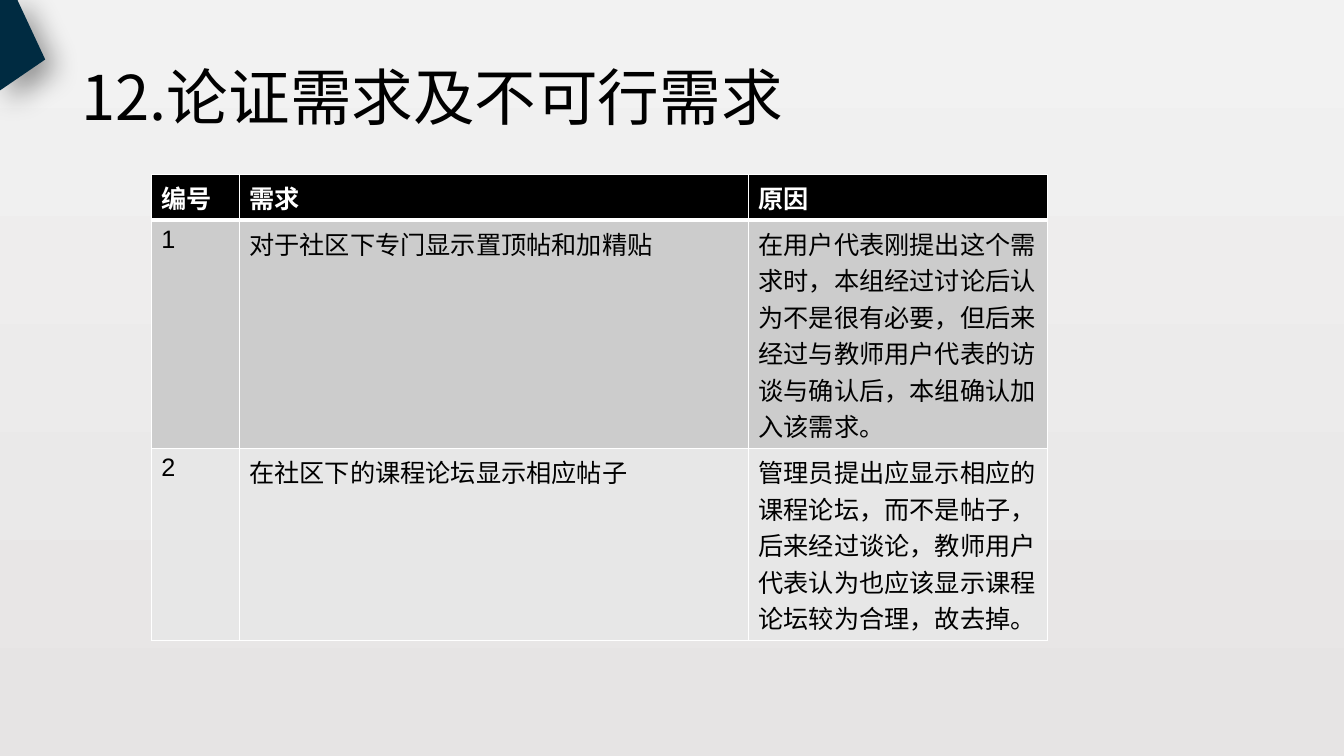
"""Builds the slide on justified and infeasible requirements."""
import pptx
import pptx.util
import pptx.dml.color
import pptx.enum.text
import pptx.oxml
import pptx.oxml.ns
import lxml.etree

Cm = pptx.util.Cm
Pt = pptx.util.Pt
RGBColor = pptx.dml.color.RGBColor

BLACK = RGBColor(0x00, 0x00, 0x00)
WHITE = RGBColor(0xFF, 0xFF, 0xFF)
NAVY = RGBColor(0x00, 0x2B, 0x41)
MID_GREY = RGBColor(0xCC, 0xCC, 0xCC)
PALE_GREY = RGBColor(0xE7, 0xE7, 0xE7)
BACKDROP = [RGBColor(0xF2, 0xF2, 0xF2), RGBColor(0xE6, 0xE4, 0xE4)]
CJK_FONT = "Noto Sans CJK SC"


def add_run(paragraph, text, latin, size, color, bold=False):
    run = paragraph.add_run()
    run.text = text
    run.font.size = Pt(size)
    run.font.bold = bold
    run.font.color.rgb = color
    run.font.name = latin
    east_asian = lxml.etree.SubElement(run.font._element, pptx.oxml.ns.qn("a:ea"))
    east_asian.set("typeface", CJK_FONT)


def set_borders(cell, widths):
    for place, (side, width) in enumerate(widths.items()):
        line = pptx.oxml.parse_xml(
            f'<a:{side} {pptx.oxml.ns.nsdecls("a")} w="{Pt(width)}">'
            f'<a:solidFill><a:srgbClr val="{WHITE}"/></a:solidFill></a:{side}>'
        )
        cell._tc.get_or_add_tcPr().insert(place, line)


deck = pptx.Presentation()
deck.slide_width = Cm(33.87)
deck.slide_height = Cm(19.05)
slide = deck.slides.add_slide(deck.slide_layouts[6])

backdrop = slide.background.fill
backdrop.gradient()
backdrop.gradient_angle = 270
for stop, color in zip(backdrop.gradient_stops, BACKDROP):
    stop.color.rgb = color

title = slide.shapes.add_textbox(Cm(1.8), Cm(0.7), Cm(29.2), Cm(3.68)).text_frame
title.word_wrap = True
title.vertical_anchor = pptx.enum.text.MSO_ANCHOR.MIDDLE
title.paragraphs[0].line_spacing = 0.9
add_run(title.paragraphs[0], "12.论证需求及不可行需求", CJK_FONT, 44, BLACK)

outline = slide.shapes.build_freeform(Cm(0.43), Cm(-0.02))
outline.add_line_segments(
    [(Cm(0), Cm(-0.02)), (Cm(0), Cm(2.28)), (Cm(1.14), Cm(1.5))], close=True
)
corner = outline.convert_to_shape()
corner.fill.solid()
corner.fill.fore_color.rgb = NAVY
corner.line.fill.background()
corner.shadow.inherit = False
effects = corner._element.spPr.find(pptx.oxml.ns.qn("a:effectLst"))
effects.append(pptx.oxml.parse_xml(
    f'<a:outerShdw {pptx.oxml.ns.nsdecls("a")} blurRad="{Pt(20)}" dist="{Pt(10)}" '
    f'dir="2700000" algn="tl" rotWithShape="0"><a:srgbClr val="{BLACK}">'
    '<a:alpha val="40000"/></a:srgbClr></a:outerShdw>'
))

requirements = [
    ("编号", "需求", "原因"),
    ("1", "对于社区下专门显示置顶帖和加精贴",
     "在用户代表刚提出这个需求时，本组经过讨论后认为不是很有必要，"
     "但后来经过与教师用户代表的访谈与确认后，本组确认加入该需求。"),
    ("2", "在社区下的课程论坛显示相应帖子",
     "管理员提出应显示相应的课程论坛，而不是帖子，后来经过谈论，"
     "教师用户代表认为也应该显示课程论坛较为合理，故去掉。"),
]
column_widths = [2.22, 12.83, 7.53]
row_heights = [1.15, 5.75, 4.85]
row_fills = [BLACK, MID_GREY, PALE_GREY]

table = slide.shapes.add_table(
    len(requirements), len(column_widths), Cm(3.81), Cm(4.4),
    Cm(sum(column_widths)), Cm(sum(row_heights)),
).table
for column, width in zip(table.columns, column_widths):
    column.width = Cm(width)
for row, height in zip(table.rows, row_heights):
    row.height = Cm(height)

for r, requirement in enumerate(requirements):
    header = r == 0
    for c, text in enumerate(requirement):
        cell = table.cell(r, c)
        cell.fill.solid()
        cell.fill.fore_color.rgb = row_fills[r]
        set_borders(cell, {"lnL": 1, "lnR": 1, "lnT": 3 if r == 1 else 1,
                           "lnB": 3 if header else 1})
        add_run(cell.text_frame.paragraphs[0], text, "Arial", 18,
                WHITE if header else BLACK, bold=header)

deck.save("out.pptx")
